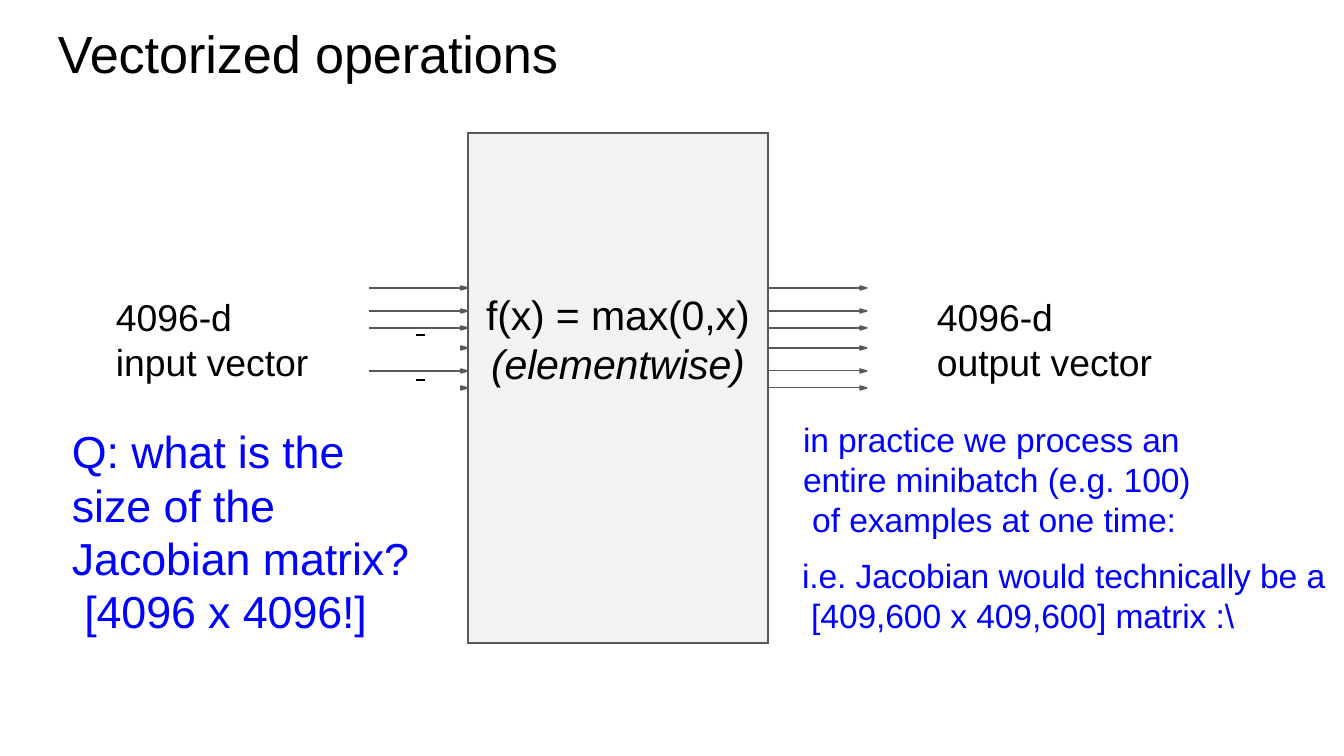
from dataclasses import dataclass
from itertools import accumulate

from lxml.etree import SubElement
from pptx import Presentation
from pptx.dml.color import RGBColor
from pptx.enum.shapes import MSO_CONNECTOR as Connector
from pptx.enum.text import MSO_ANCHOR as Anchor, MSO_AUTO_SIZE as AutoSize
from pptx.oxml.ns import qn
from pptx.util import Emu, Pt

EMU_PER_PX = 914400 / 134.4


@dataclass(frozen=True)
class Style:
    size: int
    pitch: float
    color: str


@dataclass(frozen=True)
class Theme:
    font: str = "Arial"
    dash_font: str = "Times New Roman"
    line: str = "595959"
    panel: str = "F2F2F2"
    title: Style = Style(28, 33, "000000")
    question: Style = Style(24, 28.5, "0000FF")
    function: Style = Style(22, 26.3, "000000")
    label: Style = Style(20, 24, "000000")
    note: Style = Style(18, 21.4, "0000FF")
    stroke: float = 0.75
    tracking: str = "-5"
    plain_table: str = "{2D5ABB26-0587-4C30-8999-92F81FD0307C}"


@dataclass(frozen=True)
class Line:
    text: str
    style: Style
    indent: int = 0
    before: float = 0
    italic: bool = False
    dash: bool = False


@dataclass(frozen=True)
class TextBlock:
    left: int
    top: int
    width: int
    height: int
    lines: tuple[Line, ...]


THEME = Theme()
BOX_LEFT, BOX_TOP, BOX_WIDTH = 468, 133, 300
ARROW_LENGTH, HEAD_LENGTH, HEAD_HALF = 99, 7, 2
ROW_HEIGHTS = (155, 23, 17, 20, 23, 17, 171)
ARROW_ROWS = tuple(accumulate(ROW_HEIGHTS[:-1], initial=BOX_TOP))[1:]
SHAFTLESS_INPUTS = (3, 5)
DASH_TAB = 300

FUNCTION_LINES = (
    Line("f(x) = max(0,x)", THEME.function, indent=18),
    Line("(elementwise)", THEME.function, indent=23, italic=True),
)
BLOCKS = (
    TextBlock(937, 294, 250, 92, (
        Line("4096-d", THEME.label), Line("output vector", THEME.label))),
    TextBlock(72, 294, 396, 344, (
        Line("4096-d", THEME.label, indent=44, dash=True),
        Line("input vector", THEME.label, indent=44, dash=True),
        Line("Q: what is the\vsize of the\vJacobian matrix?\v [4096 x 4096!]",
             THEME.question, before=22))),
    TextBlock(802, 419, 540, 220, (
        Line("in practice we process an\ventire minibatch (e.g. 100)"
             "\v of examples at one time:", THEME.note, indent=1),
        Line("i.e. Jacobian would technically be a\v [409,600 x 409,600] matrix :\\",
             THEME.note, before=9))),
)


def px(length: float) -> Emu:
    return Emu(round(length * EMU_PER_PX))


def color(value: str) -> RGBColor:
    return RGBColor.from_string(value)


def add_dash(para) -> None:
    tabs = SubElement(para._p.get_or_add_pPr(), qn("a:tabLst"))
    SubElement(tabs, qn("a:tab"), pos=str(px(DASH_TAB)), algn="l")
    para.add_run().text = "\t"
    dash = para.add_run()
    dash.text = " \t"
    dash.font.underline = True


def write_lines(frame, lines: tuple[Line, ...]) -> None:
    frame.text = "\n".join(line.text for line in lines)
    for para, line in zip(frame.paragraphs, lines):
        para.line_spacing = Pt(line.style.pitch)
        para.space_before = Pt(line.before)
        para.space_after = Pt(0)
        properties = para._p.get_or_add_pPr()
        properties.set("algn", "l")
        properties.set("marL", str(px(line.indent)))
        if line.dash:
            add_dash(para)
        for span in para.runs:
            span.font.name = THEME.dash_font if span.font.underline else THEME.font
            span.font.size = Pt(line.style.size)
            span.font.italic = line.italic
            span.font.color.rgb = color(line.style.color)
            span._r.get_or_add_rPr().set("spc", THEME.tracking)


def fill_box(box, lines: tuple[Line, ...]) -> None:
    frame = box.text_frame
    frame.word_wrap = True
    frame.auto_size = AutoSize.NONE
    frame.vertical_anchor = Anchor.TOP
    frame.margin_left = frame.margin_right = frame.margin_top = frame.margin_bottom = 0
    write_lines(frame, lines)


def add_title(page, text: str) -> None:
    title = page.shapes.title
    title.left, title.top, title.width, title.height = px(58), px(22), px(508), px(66)
    fill_box(title, (Line(text, THEME.title),))


def add_block(page, block: TextBlock) -> None:
    box = page.shapes.add_textbox(px(block.left), px(block.top),
                                  px(block.width), px(block.height))
    fill_box(box, block.lines)


def set_borders(cell, sides: str) -> None:
    for side in sides:
        border = SubElement(cell._tc.get_or_add_tcPr(), qn(f"a:ln{side}"),
                            w=str(Pt(THEME.stroke)))
        fill = SubElement(border, qn("a:solidFill"))
        SubElement(fill, qn("a:srgbClr"), val=THEME.line)


def add_function_table(page) -> None:
    frame = page.shapes.add_table(len(ROW_HEIGHTS), 2, px(BOX_LEFT), px(BOX_TOP),
                                  px(BOX_WIDTH + ARROW_LENGTH - HEAD_LENGTH),
                                  px(sum(ROW_HEIGHTS)))
    table = frame.table
    table.first_row = table.horz_banding = False
    table._tbl.tblPr.find(qn("a:tableStyleId")).text = THEME.plain_table
    table.columns[0].width = px(BOX_WIDTH)
    table.columns[1].width = px(ARROW_LENGTH - HEAD_LENGTH)
    for row, height in zip(table.rows, ROW_HEIGHTS):
        row.height = px(height)
    for cell in table.iter_cells():
        cell.margin_left = cell.margin_right = cell.margin_top = cell.margin_bottom = 0
        SubElement(cell.text_frame.paragraphs[0]._p, qn("a:endParaRPr"), sz="600")
    function = table.cell(0, 0)
    function.merge(table.cell(len(ROW_HEIGHTS) - 1, 0))
    set_borders(function, "LRTB")
    function.fill.solid()
    function.fill.fore_color.rgb = color(THEME.panel)
    function.margin_top = px(157)
    write_lines(function.text_frame, FUNCTION_LINES)
    for index in range(len(ROW_HEIGHTS)):
        cell = table.cell(index, 1)
        set_borders(cell, "LB" if index < len(ARROW_ROWS) else "L")
        cell.fill.background()


def add_head(page, tip: int, y: int) -> None:
    base = tip - HEAD_LENGTH
    outline = page.shapes.build_freeform(px(base), px(y + HEAD_HALF), scale=1.0)
    outline.add_line_segments([(px(base), px(y - HEAD_HALF)), (px(tip), px(y))], close=True)
    head = outline.convert_to_shape()
    head.shadow.inherit = False
    head.fill.solid()
    head.fill.fore_color.rgb = head.line.color.rgb = color(THEME.line)
    head.line.width = Pt(THEME.stroke)


def add_shaft(page, y: int) -> None:
    shaft = page.shapes.add_connector(Connector.STRAIGHT, px(BOX_LEFT - ARROW_LENGTH), px(y),
                                      px(BOX_LEFT - HEAD_LENGTH), px(y))
    shaft.line.color.rgb = color(THEME.line)
    shaft.line.width = Pt(THEME.stroke)
    SubElement(shaft._element.spPr, qn("a:effectLst"))


def main() -> None:
    deck = Presentation()
    deck.slide_width, deck.slide_height = px(1344), px(756)
    page = deck.slides.add_slide(deck.slide_layouts[5])
    add_title(page, "Vectorized operations")
    add_function_table(page)
    for index, y in enumerate(ARROW_ROWS):
        if index not in SHAFTLESS_INPUTS:
            add_shaft(page, y)
        add_head(page, BOX_LEFT, y)
        add_head(page, BOX_LEFT + BOX_WIDTH + ARROW_LENGTH, y)
    for block in BLOCKS:
        add_block(page, block)
    deck.save("out.pptx")


if __name__ == "__main__":
    main()
